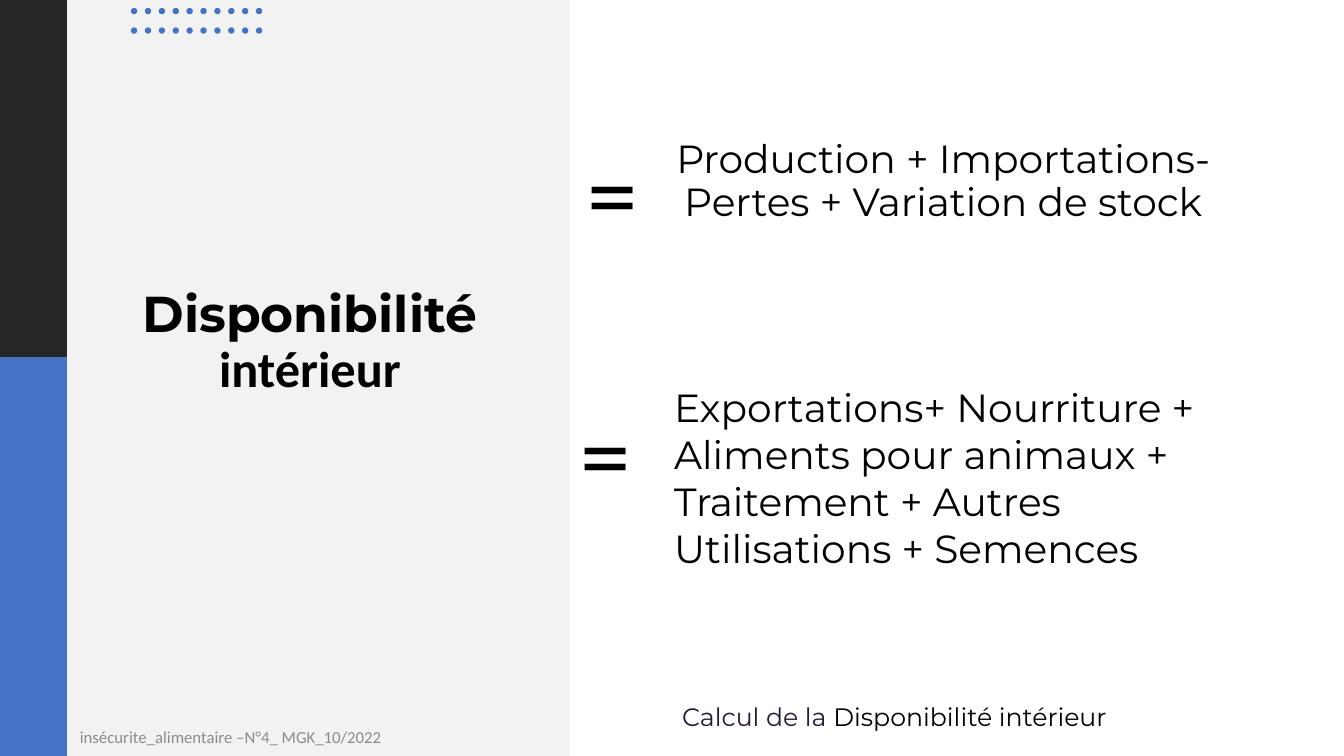
from pptx import Presentation
from pptx.dml.color import RGBColor
from pptx.enum.shapes import MSO_SHAPE as Shape
from pptx.enum.text import MSO_ANCHOR as Anchor, MSO_AUTO_SIZE as AutoSize, PP_ALIGN as Align
from pptx.util import Cm, Pt

COLORS = {
    "dark": "262626",
    "blue": "4472C4",
    "panel": "F2F2F2",
    "black": "000000",
    "plum": "271A38",
    "grey": "8C8C8C",
}


def add_block(shapes, kind, left, top, width, height, color):
    block = shapes.add_shape(kind, Cm(left), Cm(top), Cm(width), Cm(height))
    block.shadow.inherit = False
    block.fill.solid()
    block.fill.fore_color.rgb = RGBColor.from_string(COLORS[color])
    block.line.fill.background()
    return block


def write(text, box, place, size, font="Montserrat", color="black", bold=False,
          align=Align.LEFT, anchor=Anchor.TOP, spacing=1.0):
    """Place the box and add the text as a run at the end of its paragraph."""
    box.left, box.top, box.width, box.height = [Cm(length) for length in place]
    frame = box.text_frame
    frame.word_wrap = True
    frame.auto_size = AutoSize.NONE
    frame.vertical_anchor = anchor
    paragraph = frame.paragraphs[0]
    paragraph.alignment = align
    paragraph.line_spacing = spacing
    run = paragraph.add_run()
    run.text = text
    run.font.size = Pt(size)
    run.font.name = font
    run.font.bold = bold
    run.font.color.rgb = RGBColor.from_string(COLORS[color])


prs = Presentation()
prs.slide_width, prs.slide_height = Cm(33.87), Cm(19.05)
slide = prs.slides.add_slide(prs.slide_layouts[5])
shapes = slide.shapes

# Side bars and left panel
add_block(shapes, Shape.RECTANGLE, 0, 0, 1.69, 9, "dark")
add_block(shapes, Shape.RECTANGLE, 0, 9, 1.69, 10.05, "blue")
panel = add_block(shapes, Shape.RECTANGLE, 1.69, 0, 12.67, 19.05, "panel")

# Title, raised above the panel
title = shapes.title
panel.element.addnext(title.element)
for word, font in [("Disponibilité", "Montserrat"), (" intérieur", "Calibri")]:
    write(word, title, (2.64, 6.3, 10.34, 3.86), 36, font=font, bold=True,
          align=Align.CENTER, anchor=Anchor.BOTTOM, spacing=0.9)

# Dot grid
dots = shapes.add_group_shape()
for row in range(2):
    for column in range(10):
        add_block(dots.shapes, Shape.OVAL, 3.3 + 0.35 * column, 0.2 + 0.49 * row,
                  0.16, 0.16, "blue")

# Footer
footer = shapes.add_textbox(0, 0, 0, 0)
write("insécurite_alimentaire –N°4_ MGK_10/2022", footer, (1.42, 18.29, 8.79, 0.56), 12,
      font="Calibri", color="grey", align=Align.CENTER, anchor=Anchor.MIDDLE)

# Caption
caption = shapes.add_textbox(0, 0, 0, 0)
for words, color in [("Calcul de la ", "plum"), ("Disponibilité intérieur", "black")]:
    write(words, caption, (16.94, 17.55, 12.67, 1.02), 18, color=color)

# The two formulas
supply = shapes.add_textbox(0, 0, 0, 0)
write("Production + Importations-Pertes + Variation de stock", supply,
      (16.05, 3.4, 15.44, 2.41), 28, align=Align.CENTER, spacing=0.9)
uses = shapes.add_textbox(0, 0, 0, 0)
write("Exportations+ Nourriture + Aliments pour animaux + Traitement + Autres "
      "Utilisations + Semences", uses, (16.74, 9.53, 15.44, 5.05), 28)

# Equals signs
for left, top in [(14.55, 3.15), (14.38, 9.73)]:
    equals = shapes.add_textbox(0, 0, 0, 0)
    write("=", equals, (left, top, 1.35, 3.33), 72, font="Calibri")

prs.save("out.pptx")
